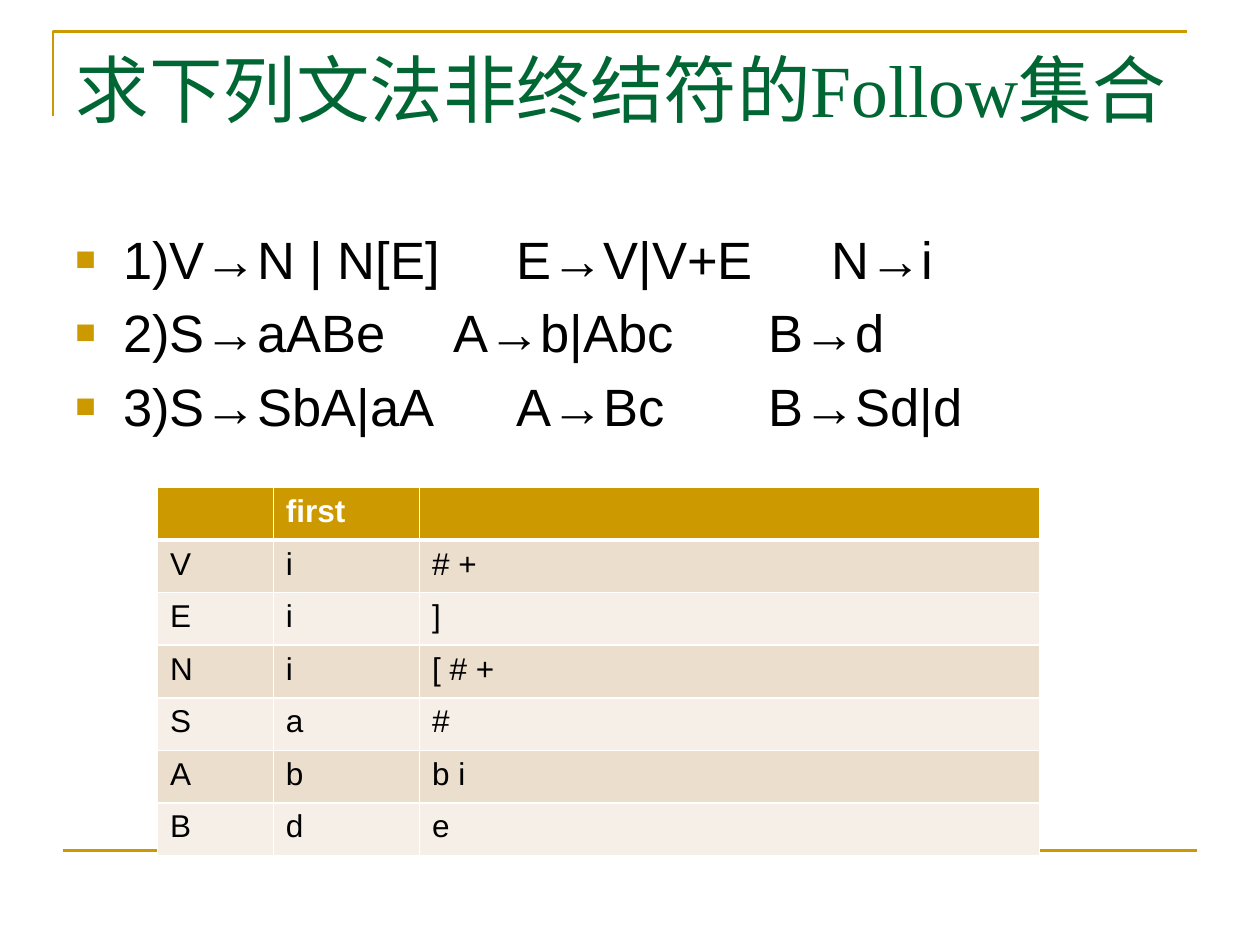
"""Build a slide of grammar rules with a table of symbol sets."""
from dataclasses import dataclass
from typing import Any, NamedTuple

from lxml.etree import SubElement
from pptx import Presentation
from pptx.dml.color import RGBColor
from pptx.enum.shapes import MSO_CONNECTOR
from pptx.enum.text import MSO_ANCHOR, MSO_AUTO_SIZE, PP_ALIGN
from pptx.oxml.ns import qn
from pptx.util import Inches, Pt


@dataclass(frozen=True)
class Theme:
    """Colours, fonts and type sizes."""
    gold: str = "CC9900"
    green: str = "006633"
    ink: str = "000000"
    white: str = "FFFFFF"
    bands: tuple[str, str] = ("ECDECC", "F6EFE7")
    serif: str = "Times New Roman"
    sans: str = "Arial"
    title: int = 42
    body: int = 30
    cell: int = 18
    rule: float = 1.5


class Row(NamedTuple):
    """One table row."""
    name: str
    first: str
    extra: str


THEME = Theme()
GRAMMARS = (
    "1)V→N | N[E] \tE→V|V+E\t\tN→i",
    "2)S→aABe \tA→b|Abc\t\tB→d",
    "3)S→SbA|aA \t\tA→Bc\t\tB→Sd|d",
)
ROWS = (
    Row("", "first", ""),
    Row("V", "i", "# +"),
    Row("E", "i", "]"),
    Row("N", "i", "[ # +"),
    Row("S", "a", "#"),
    Row("A", "b", "b i"),
    Row("B", "d", "e"),
)
WIDTHS = (0.92, 1.16, 4.92)


def assign(item: Any, values: dict[str, Any]) -> None:
    """Set each named value on an object."""
    for name, value in values.items():
        setattr(item, name, value)


def style(font: Any, face: str, size: int, hue: str, bold: bool = False) -> None:
    """Format a font."""
    assign(font, {"name": face, "size": Pt(size), "bold": bold})
    font.color.rgb = RGBColor.from_string(hue)


def stroke(line: Any) -> None:
    """Format a gold line."""
    line.color.rgb = RGBColor.from_string(THEME.gold)
    line.width = Pt(THEME.rule)


def place(shape: Any, left: float, top: float, width: float, height: float) -> None:
    """Set the bounds of a shape."""
    names = ("left", "top", "width", "height")
    assign(shape, dict(zip(names, map(Inches, (left, top, width, height)))))


def draw_frame(slide: Any) -> None:
    """Draw the corner bracket and the foot rule."""
    pen = slide.shapes.build_freeform(Inches(0.42), Inches(0.92))
    corner = ((0.42, 0.25), (9.42, 0.25))
    pen.add_line_segments([(Inches(x), Inches(y)) for x, y in corner], close=False)
    bracket = pen.convert_to_shape()
    bracket.fill.background()
    bracket.shadow.inherit = False
    stroke(bracket.line)
    foot = slide.shapes.add_connector(
        MSO_CONNECTOR.STRAIGHT, Inches(0.5), Inches(6.75), Inches(9.5), Inches(6.75))
    stroke(foot.line)
    SubElement(foot._element.spPr, qn("a:effectLst"))


def draw_title(slide: Any) -> None:
    """Fill and format the title."""
    title = slide.shapes.title
    place(title, 0.5, 0.3, 9, 1.25)
    frame = title.text_frame
    frame.text = "求下列文法非终结符的Follow集合"
    assign(frame, {"auto_size": MSO_AUTO_SIZE.NONE,
                   "vertical_anchor": MSO_ANCHOR.TOP, "word_wrap": True})
    line = frame.paragraphs[0]
    line.alignment = PP_ALIGN.LEFT
    style(line.runs[0].font, THEME.serif, THEME.title, THEME.green)


def add_bullet(line: Any) -> None:
    """Give a paragraph a hanging square bullet and space above."""
    props = line._p.get_or_add_pPr()
    props.set("marL", str(Inches(0.38)))
    props.set("indent", str(-Inches(0.38)))
    gap = SubElement(props, qn("a:spcBef"))
    SubElement(gap, qn("a:spcPct"), val="20000")
    hue = SubElement(props, qn("a:buClr"))
    SubElement(hue, qn("a:srgbClr"), val=THEME.gold)
    SubElement(props, qn("a:buSzPct"), val="65000")
    SubElement(props, qn("a:buFont"), typeface=THEME.sans)
    SubElement(props, qn("a:buChar"), char="■")


def draw_body(slide: Any) -> None:
    """Write the grammars as a bullet list."""
    box = slide.shapes.add_textbox(Inches(0.5), Inches(1.75), Inches(9), Inches(4.95))
    frame = box.text_frame
    frame.word_wrap = True
    for index, text in enumerate(GRAMMARS):
        line = frame.add_paragraph() if index else frame.paragraphs[0]
        add_bullet(line)
        run = line.add_run()
        run.text = text
        style(run.font, THEME.sans, THEME.body, THEME.ink)


def add_edges(cell: Any, top: int, base: int) -> None:
    """Draw white borders around a cell."""
    props = cell._tc.get_or_add_tcPr()
    edges = {"lnL": 1, "lnR": 1, "lnT": top, "lnB": base}
    for index, (tag, width) in enumerate(edges.items()):
        edge = SubElement(props, qn(f"a:{tag}"), w=str(Pt(width)))
        fill = SubElement(edge, qn("a:solidFill"))
        SubElement(fill, qn("a:srgbClr"), val=THEME.white)
        props.insert(index, edge)


def draw_table(slide: Any, rows: tuple[Row, ...]) -> None:
    """Draw the table of sets with banded rows."""
    table = slide.shapes.add_table(
        len(rows), len(WIDTHS), Inches(1.25), Inches(3.87), Inches(7), Inches(2.92)).table
    for column, width in zip(table.columns, WIDTHS):
        column.width = Inches(width)
    for y, row in enumerate(rows):
        head = y == 0
        back = THEME.gold if head else THEME.bands[(y - 1) % 2]
        ink = THEME.white if head else THEME.ink
        for x, text in enumerate(row):
            cell = table.cell(y, x)
            cell.text = text
            cell.fill.solid()
            cell.fill.fore_color.rgb = RGBColor.from_string(back)
            style(cell.text_frame.paragraphs[0].font, THEME.sans, THEME.cell, ink, head)
            add_edges(cell, 3 if y == 1 else 1, 3 if head else 1)


def main() -> None:
    """Build and save the deck."""
    deck = Presentation()
    assign(deck, {"slide_width": Inches(10), "slide_height": Inches(7.5)})
    slide = deck.slides.add_slide(deck.slide_layouts[5])
    draw_frame(slide)
    draw_title(slide)
    draw_body(slide)
    draw_table(slide, ROWS)
    deck.save("out.pptx")


if __name__ == "__main__":
    main()
